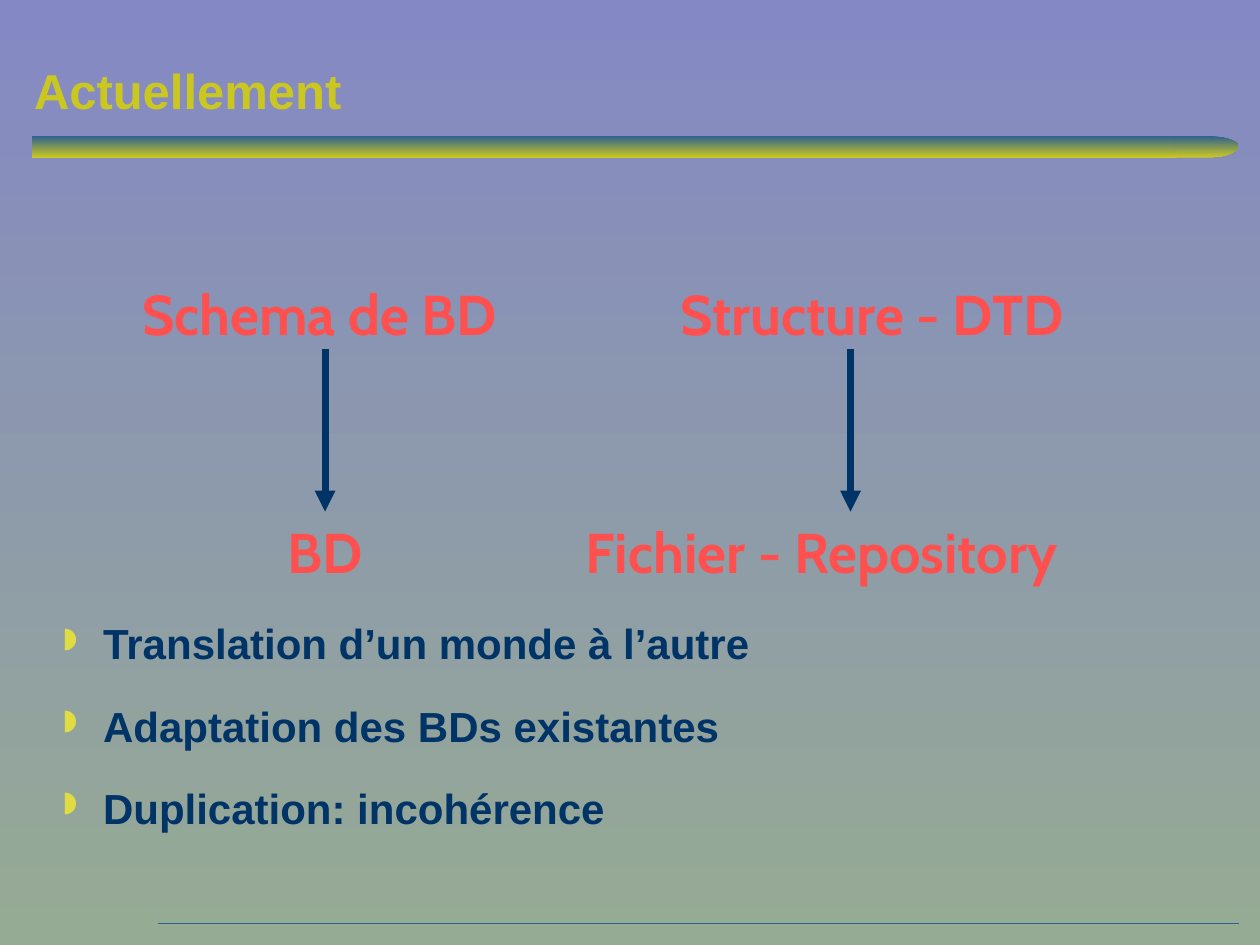
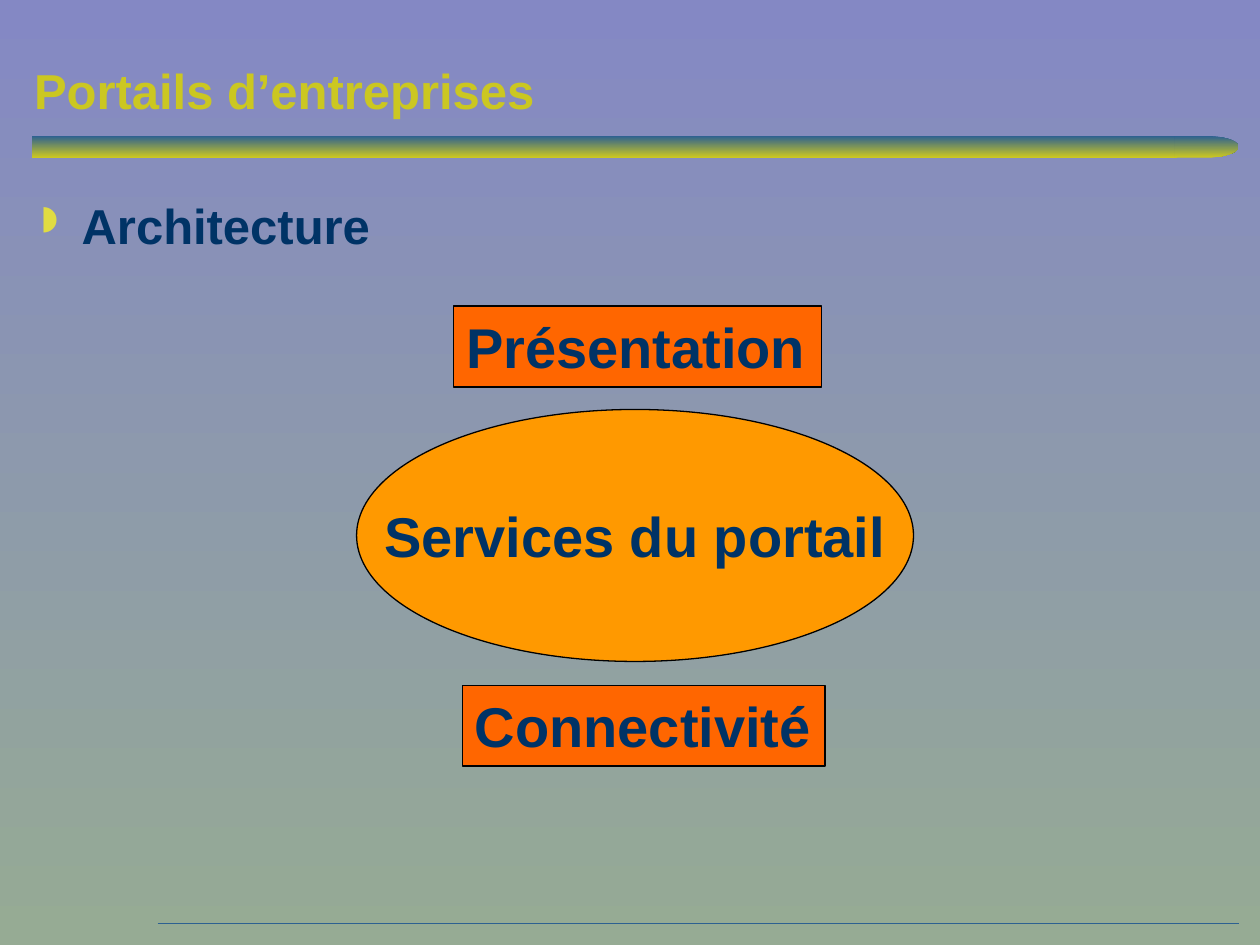
from dataclasses import dataclass

from lxml.etree import SubElement
from pptx import Presentation
from pptx.dml.color import RGBColor
from pptx.enum.shapes import MSO_CONNECTOR as Connector, MSO_SHAPE as Preset
from pptx.enum.text import MSO_ANCHOR as Anchor, MSO_AUTO_SIZE as AutoSize, PP_ALIGN as Align
from pptx.oxml.ns import qn
from pptx.util import Inches, Pt

# Shared colours and fonts
SKY, SAGE = "8488C4", "96AB94"
BLUE, OLIVE = "2D6191", "CBC721"
NAVY, CORAL, BLACK = "003366", "FF5050", "000000"
ORANGE, AMBER, BULLET_YELLOW = "FF6600", "FF9900", "E0DC42"
MAIN_FONT, LABEL_FONT = "Arial", "Cabin"


@dataclass(frozen=True)
class Box:
    left: float
    top: float
    width: float
    height: float

    def lengths(self) -> tuple:
        return tuple(Inches(v) for v in (self.left, self.top, self.width, self.height))


@dataclass(frozen=True)
class Label:
    text: str
    box: Box


@dataclass(frozen=True)
class Layer:
    text: str
    box: Box
    preset: Preset
    fill: str
    line_width: float
    centred: bool = False


def rgb(value: str) -> RGBColor:
    return RGBColor.from_string(value)


def fill_gradient(fill, top: str, bottom: str) -> None:
    fill.gradient()
    fill.gradient_angle = 270
    for stop, colour in zip(fill.gradient_stops, (top, bottom)):
        stop.color.rgb = rgb(colour)


def add_text(paragraph, text: str, size: float, colour: str, font: str = MAIN_FONT) -> None:
    run = paragraph.add_run()
    run.text = text
    run.font.name = font
    run.font.size = Pt(size)
    run.font.bold = True
    run.font.color.rgb = rgb(colour)


def add_line(slide, start: tuple, end: tuple, colour: str, width: float, arrow: bool = False) -> None:
    points = [Inches(v) for v in (*start, *end)]
    connector = slide.shapes.add_connector(Connector.STRAIGHT, *points)
    connector.line.color.rgb = rgb(colour)
    connector.line.width = Pt(width)
    if arrow:
        SubElement(connector.line._get_or_add_ln(), qn("a:tailEnd"), type="triangle")
    SubElement(connector._element.spPr, qn("a:effectLst"))


def add_label(slide, label: Label) -> None:
    frame = slide.shapes.add_textbox(*label.box.lengths()).text_frame
    frame.word_wrap = False
    frame.auto_size = AutoSize.SHAPE_TO_FIT_TEXT
    add_text(frame.paragraphs[0], label.text, 32, CORAL, LABEL_FONT)


def add_bullets(slide, box: Box, items: list[str], size: float, line_spacing: float) -> None:
    frame = slide.shapes.add_textbox(*box.lengths()).text_frame
    frame.word_wrap = True
    for index, item in enumerate(items):
        paragraph = frame.add_paragraph() if index else frame.paragraphs[0]
        paragraph.line_spacing = line_spacing
        paragraph.space_before = Pt(size * 0.625)
        paragraph.space_after = Pt(size * 0.25)
        properties = paragraph._p.get_or_add_pPr()
        properties.set("marL", str(Inches(0.38)))
        properties.set("indent", str(-Inches(0.31)))
        bullet_colour = SubElement(properties, qn("a:buClr"))
        SubElement(bullet_colour, qn("a:srgbClr"), val=BULLET_YELLOW)
        SubElement(properties, qn("a:buSzPct"), val="70000")
        SubElement(properties, qn("a:buChar"), char="◗")
        add_text(paragraph, item, size, NAVY)


def add_layer(slide, layer: Layer) -> None:
    shape = slide.shapes.add_shape(layer.preset, *layer.box.lengths())
    shape.shadow.inherit = False
    shape.fill.solid()
    shape.fill.fore_color.rgb = rgb(layer.fill)
    shape.line.color.rgb = rgb(BLACK)
    shape.line.width = Pt(layer.line_width)
    frame = shape.text_frame
    frame.word_wrap = False
    frame.auto_size = AutoSize.NONE if layer.centred else AutoSize.SHAPE_TO_FIT_TEXT
    frame.vertical_anchor = Anchor.MIDDLE if layer.centred else Anchor.TOP
    paragraph = frame.paragraphs[0]
    paragraph.alignment = Align.CENTER if layer.centred else Align.LEFT
    add_text(paragraph, layer.text, 32, NAVY)


def add_titled_slide(prs, title: str):
    slide = prs.slides.add_slide(prs.slide_layouts[5])
    fill_gradient(slide.background.fill, SKY, SAGE)

    # Footer rule
    add_line(slide, (1.25, 7.33), (9.83, 7.33), BLUE, 0.75)

    # Title band with its rounded end
    for preset, box in (
        (Preset.RECTANGLE, Box(0.25, 1.08, 9.09, 0.17)),
        (Preset.FLOWCHART_DELAY, Box(9.32, 1.08, 0.51, 0.17)),
    ):
        band = slide.shapes.add_shape(preset, *box.lengths())
        band.shadow.inherit = False
        fill_gradient(band.fill, BLUE, OLIVE)
        band.line.fill.background()

    # Title
    heading = slide.shapes.title
    heading.left, heading.top, heading.width, heading.height = Box(0.17, 0.17, 9.67, 0.83).lengths()
    frame = heading.text_frame
    frame.word_wrap = True
    frame.auto_size = AutoSize.NONE
    frame.vertical_anchor = Anchor.BOTTOM
    paragraph = frame.paragraphs[0]
    paragraph.alignment = Align.LEFT
    paragraph.line_spacing = 0.9
    add_text(paragraph, title, 28, OLIVE)
    return slide


def build_current_state(prs) -> None:
    slide = add_titled_slide(prs, "Actuellement")
    schema_top, storage_top, label_height = 2.17, 4.06, 0.64
    for label in (
        Label("Schema de BD", Box(1.03, schema_top, 3.34, label_height)),
        Label("Structure - DTD", Box(5.3, schema_top, 3.6, label_height)),
        Label("BD", Box(2.18, storage_top, 0.83, label_height)),
        Label("Fichier - Repository", Box(4.55, storage_top, 4.47, label_height)),
    ):
        add_label(slide, label)

    # Arrows from each schema to its storage
    for x in (2.58, 6.75):
        add_line(slide, (x, 2.77), (x, storage_top), NAVY, 4, arrow=True)

    consequences = [
        "Translation d’un monde à l’autre",
        "Adaptation des BDs existantes",
        "Duplication: incohérence",
    ]
    add_bullets(slide, Box(0.34, 4.9, 9.33, 1.55), consequences, 24, 0.9)


def build_portals(prs) -> None:
    slide = add_titled_slide(prs, "Portails d’entreprises")
    add_bullets(slide, Box(0.17, 1.5, 9.67, 5.67), ["Architecture"], 28, 1.0)

    # Portal layers, each box wide enough for its label on one line
    for layer in (
        Layer("Services du portail", Box(2.83, 3.25, 4.42, 2), Preset.OVAL, AMBER, 0.75, centred=True),
        Layer("Présentation", Box(3.6, 2.43, 2.92, 0.64), Preset.RECTANGLE, ORANGE, 1),
        Layer("Connectivité", Box(3.67, 5.44, 2.88, 0.64), Preset.RECTANGLE, ORANGE, 1),
    ):
        add_layer(slide, layer)


def main() -> None:
    prs = Presentation()
    prs.slide_width, prs.slide_height = Inches(10), Inches(7.5)
    build_current_state(prs)
    build_portals(prs)
    prs.save("out.pptx")


if __name__ == "__main__":
    main()
